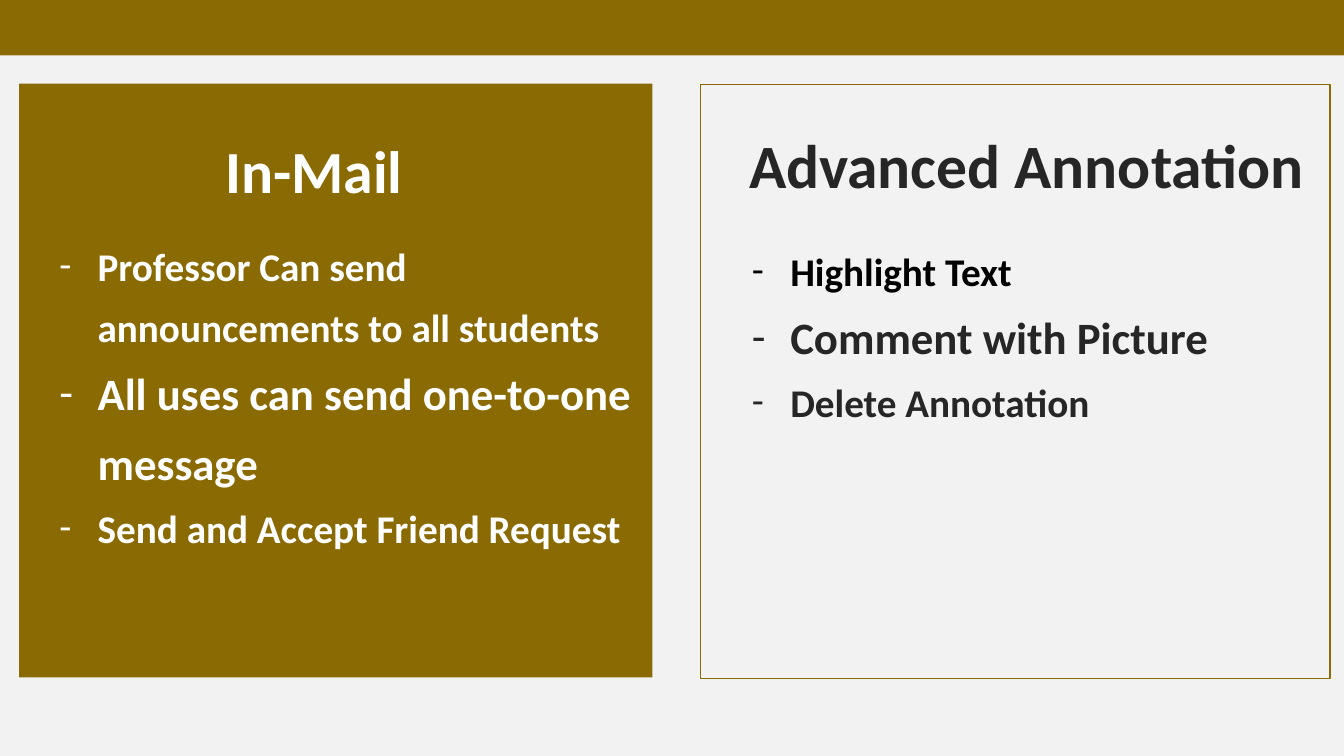
from dataclasses import dataclass
from typing import Optional

from lxml import etree
from pptx import Presentation
from pptx.dml.color import RGBColor
from pptx.enum.shapes import MSO_SHAPE
from pptx.enum.text import MSO_AUTO_SIZE, PP_ALIGN
from pptx.oxml.ns import qn
from pptx.util import Inches, Pt

RECT = MSO_SHAPE.RECTANGLE
CENTER = PP_ALIGN.CENTER
GROW = MSO_AUTO_SIZE.SHAPE_TO_FIT_TEXT

GOLD = RGBColor(0x8A, 0x6A, 0x02)
PALE = RGBColor(0xF2, 0xF2, 0xF2)
WHITE = RGBColor(0xFF, 0xFF, 0xFF)
DARK = RGBColor(0x26, 0x26, 0x26)
BLACK = RGBColor(0, 0, 0)
FONT = "Calibri"
INDENT = Inches(0.38)

Box = tuple[float, float, float, float]


@dataclass
class Line:
    text: str
    size: float
    color: RGBColor


@dataclass
class Panel:
    box: Box
    filled: bool
    title: Line
    title_box: Box
    items: list[Line]
    list_box: Box


PANELS = [
    Panel((0.19, 0.83, 6.28, 5.89), True,
          Line("In-Mail", 42.7, WHITE), (0.71, 1.06, 4.81, 0.97),
          [Line("Professor Can send announcements to all students", 28, WHITE),
           Line("All uses can send one-to-one message", 32, WHITE),
           Line("Send and Accept Friend Request", 28, WHITE)],
          (0.49, 2.21, 5.98, 3.29)),
    Panel((6.95, 0.84, 6.24, 5.89), False,
          Line("Advanced Annotation", 44, DARK), (7.19, 0.99, 5.99, 0.99),
          [Line("Highlight Text", 28, BLACK),
           Line("Comment with Picture", 32, DARK),
           Line("Delete Annotation", 28, DARK)],
          (7.36, 2.26, 4.94, 1.98)),
]


def add_rect(slide, box: Box, fill: Optional[RGBColor]) -> None:
    """Draw a filled block, or a gold frame when there is no fill."""
    rect = slide.shapes.add_shape(RECT, *map(Inches, box))
    rect.shadow.inherit = False
    if fill is None:
        rect.fill.background()
        rect.line.color.rgb = GOLD
        rect.line.width = Pt(1)
    else:
        rect.fill.solid()
        rect.fill.fore_color.rgb = fill
        rect.line.fill.background()


def add_dash(para) -> None:
    """Give a paragraph a hanging dash bullet."""
    props = para._p.get_or_add_pPr()
    props.set("marL", str(INDENT))
    props.set("indent", str(-INDENT))
    etree.SubElement(props, qn("a:buFont")).set("typeface", FONT)
    etree.SubElement(props, qn("a:buChar")).set("char", "-")


def add_text(slide, box: Box, lines: list[Line], title: bool = False) -> None:
    frame = slide.shapes.add_textbox(*map(Inches, box)).text_frame
    frame.word_wrap = True
    frame.auto_size = GROW
    for i, line in enumerate(lines):
        para = frame.add_paragraph() if i else frame.paragraphs[0]
        para.text = line.text
        para.line_spacing = 1.3
        font = para.font
        font.name = FONT
        font.size = Pt(line.size)
        font.bold = True
        font.color.rgb = line.color
        if title:
            para.alignment = CENTER
            para.space_before = Pt(8)
        else:
            add_dash(para)


def main() -> None:
    deck = Presentation()
    deck.slide_width = Inches(13.33)
    deck.slide_height = Inches(7.5)
    slide = deck.slides.add_slide(deck.slide_layouts[6])

    # Background and top band
    slide.background.fill.solid()
    slide.background.fill.fore_color.rgb = PALE
    add_rect(slide, (0, 0, 13.33, 0.55), GOLD)

    # Feature panels
    for panel in PANELS:
        add_rect(slide, panel.box, GOLD if panel.filled else None)
        add_text(slide, panel.title_box, [panel.title], title=True)
        add_text(slide, panel.list_box, panel.items)

    deck.save("out.pptx")


if __name__ == "__main__":
    main()
